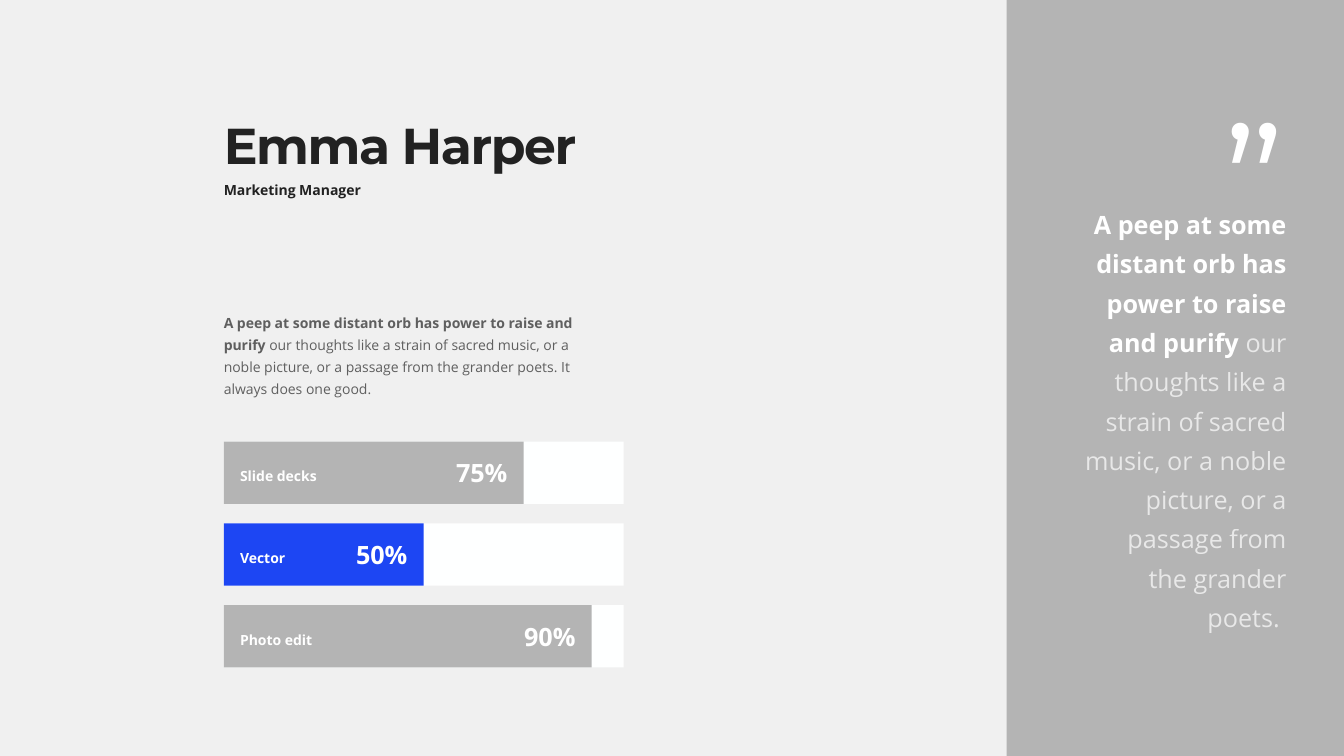
from lxml.etree import SubElement
from pptx import Presentation
from pptx.dml.color import RGBColor
from pptx.enum.shapes import MSO_SHAPE
from pptx.enum.text import MSO_ANCHOR, PP_ALIGN
from pptx.oxml.ns import qn
from pptx.util import Cm, Pt

PAPER = RGBColor(0xF0, 0xF0, 0xF0)
GREY = RGBColor(0xB4, 0xB4, 0xB4)
BLUE = RGBColor(0x1D, 0x46, 0xF3)
TRACK = RGBColor(0xFE, 0xFF, 0xFF)
WHITE = RGBColor(0xFF, 0xFF, 0xFF)
INK = RGBColor(0x22, 0x22, 0x22)

deck = Presentation()
deck.slide_width, deck.slide_height = Cm(33.87), Cm(19.05)
slide = deck.slides.add_slide(deck.slide_layouts[6])
slide.background.fill.solid()
slide.background.fill.fore_color.rgb = PAPER


def block(left, top, width, height, color):
    """Add a plain filled rectangle."""
    shape = slide.shapes.add_shape(
        MSO_SHAPE.RECTANGLE, Cm(left), Cm(top), Cm(width), Cm(height))
    shape.shadow.inherit = False
    shape.fill.solid()
    shape.fill.fore_color.rgb = color
    shape.line.fill.background()
    return shape


def write(box, runs, size, face="Open Sans", align=PP_ALIGN.LEFT,
          lines=1.3, pads=(0, 0.1, 0.6, 0.1), anchor=MSO_ANCHOR.TOP):
    """Fill a box with runs of (text, bold, color, opacity in percent)."""
    frame = box.text_frame
    style = {"word_wrap": True, "vertical_anchor": anchor}
    sides = ("left", "top", "right", "bottom")
    style.update({f"margin_{side}": Cm(pad) for side, pad in zip(sides, pads)})
    for key, value in style.items():
        setattr(frame, key, value)
    para = frame.paragraphs[0]
    para.alignment, para.line_spacing = align, lines
    for text, bold, color, solid in runs:
        run = para.add_run()
        run.text = text
        for key, value in {"name": face, "size": Pt(size), "bold": bold}.items():
            setattr(run.font, key, value)
        run.font.color.rgb = color
        if solid < 100:
            tint = run.font._element.find(".//" + qn("a:srgbClr"))
            SubElement(tint, qn("a:alpha"), val=str(solid * 1000))
    return para


# Side panel
block(25.37, -0.08, 8.5, 19.13, GREY)

# Name
EDGE = 5.64
name = slide.shapes.add_textbox(Cm(EDGE), Cm(2.64), Cm(11.28), Cm(3.48))
title = write(name, [("Emma Harper", True, INK, 100)], 36, "Montserrat",
              lines=0.8, pads=(0, 0.53, 0, 0))
title.runs[0].font._element.set("spc", "-100")

# Skill bars
FULL, TALL, FIRST, STEP = 10.08, 1.57, 11.13, 2.06
skills = [
    ("Slide decks", "75%", 0.75, GREY),
    ("Vector", "50%", 0.5, BLUE),
    ("Photo edit", "90%", 0.92, GREY),
]
for row, (skill, score, share, color) in enumerate(skills):
    top = FIRST + row * STEP
    block(EDGE, top, FULL, TALL, TRACK)
    bar = block(EDGE, top, FULL * share, TALL, color)
    write(bar, [(score, True, WHITE, 100)], 18, align=PP_ALIGN.RIGHT, lines=1.0,
          pads=(0.41, 0.13, 0.41, 0.13), anchor=MSO_ANCHOR.MIDDLE)
    label = slide.shapes.add_textbox(Cm(EDGE + 0.41), Cm(top + 0.43), Cm(3), Cm(0.71))
    write(label, [(skill, True, WHITE, 100)], 10)

# Role, profile and quote
LEAD = "A peep at some distant orb has power to raise and purify "
REST = ("our thoughts like a strain of sacred music, or a noble picture, "
        "or a passage from the grander poets. ")

role = slide.shapes.add_textbox(Cm(EDGE), Cm(4.34), Cm(8.46), Cm(0.71))
write(role, [("Marketing Manager", True, INK, 100)], 10)

about = slide.shapes.add_textbox(Cm(EDGE), Cm(7.7), Cm(FULL), Cm(2.41))
write(about, [(LEAD, True, INK, 70),
              (REST + "It always does one good.", False, INK, 70)], 10)

quote = slide.shapes.add_textbox(Cm(27.33), Cm(4.95), Cm(5.69), Cm(11.2))
write(quote, [(LEAD, True, WHITE, 100), (REST, False, WHITE, 70)], 18,
      align=PP_ALIGN.RIGHT)

mark = slide.shapes.add_textbox(Cm(30.84), Cm(0.53), Cm(2.31), Cm(6.02))
write(mark, [("”", False, WHITE, 100)], 115, "Montserrat")

deck.save("out.pptx")
